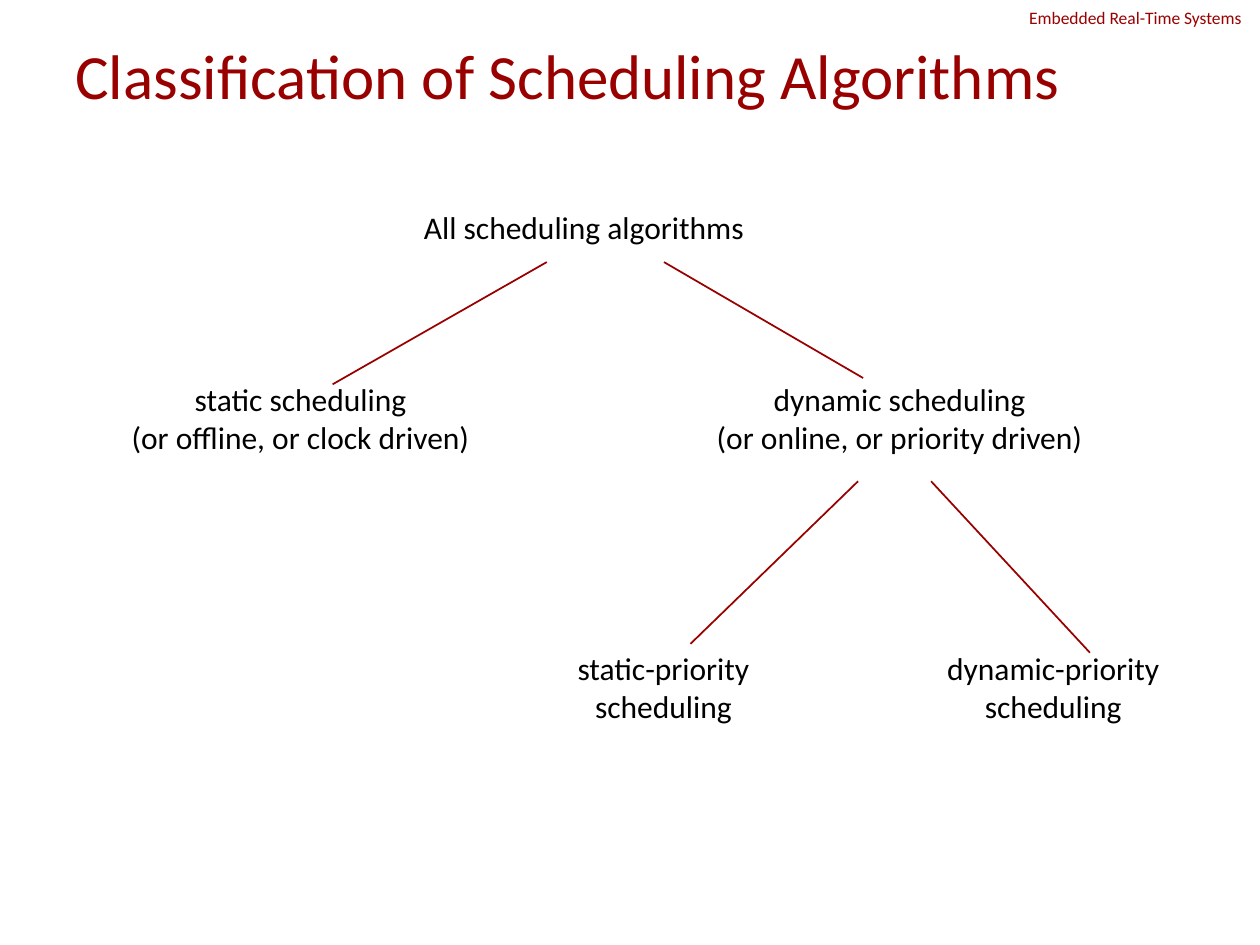
from dataclasses import dataclass

from lxml import etree
from pptx import Presentation
from pptx.dml.color import RGBColor
from pptx.enum.shapes import MSO_CONNECTOR
from pptx.enum.text import MSO_ANCHOR, PP_ALIGN
from pptx.oxml.ns import qn
from pptx.util import Inches, Pt

LEFT, CENTER = PP_ALIGN.LEFT, PP_ALIGN.CENTER
TOP, MIDDLE = MSO_ANCHOR.TOP, MSO_ANCHOR.MIDDLE
STRAIGHT = MSO_CONNECTOR.STRAIGHT


@dataclass(frozen=True)
class Theme:
    font: str = "Calibri"
    accent: RGBColor = RGBColor(0x99, 0x00, 0x00)
    text: RGBColor = RGBColor(0x00, 0x00, 0x00)
    header_size: int = 10
    title_size: int = 36
    node_size: int = 18
    line_width: int = 1


THEME = Theme()

# Content: lengths in inches
HEADER = "Embedded Real-Time Systems"
TITLE = "Classification of Scheduling Algorithms"

# Tree nodes: lines of text, left, width; grouped by the top of their level
LEVELS = [
    (1.6, [(["All scheduling algorithms"], 3.25, 2.77)]),
    (2.97, [
        (["static scheduling", "(or offline, or clock driven)"], 0.93, 2.91),
        (["dynamic scheduling", "(or online, or priority driven)"], 5.57, 3.14),
    ]),
    (5.1, [
        (["static-priority", "scheduling"], 4.47, 1.59),
        (["dynamic-priority", "scheduling"], 7.41, 1.9),
    ]),
]

# Branches: start height, then (start x, end x, end y) for each child
BRANCHES = [
    (2.08, [(4.34, 2.64, 3.05), (5.27, 6.85, 3)]),
    (3.82, [(6.81, 5.48, 5.11), (7.39, 8.65, 5.18)]),
]


def add_text(slide, lines, left, top, width, height, *, size, color,
             align=LEFT, anchor=TOP, wrap=True):
    shape = slide.shapes.add_textbox(*map(Inches, (left, top, width, height)))
    frame = shape.text_frame
    frame.word_wrap = wrap
    frame.vertical_anchor = anchor
    frame.text = "\n".join(lines)
    for paragraph in frame.paragraphs:
        paragraph.alignment = align
        font = paragraph.runs[0].font
        font.name, font.size, font.color.rgb = THEME.font, Pt(size), color


def add_branch(slide, start_x, start_y, end_x, end_y):
    connector = slide.shapes.add_connector(
        STRAIGHT, *map(Inches, (start_x, start_y, end_x, end_y)))
    connector.line.color.rgb = THEME.accent
    connector.line.width = Pt(THEME.line_width)
    etree.SubElement(connector._element.spPr, qn("a:effectLst"))


def main():
    presentation = Presentation()
    presentation.slide_width, presentation.slide_height = Inches(10), Inches(7.5)
    slide = presentation.slides.add_slide(presentation.slide_layouts[6])

    # Header and title
    add_text(slide, [HEADER], 8.07, 0.01, 2.27, 0.27,
             size=THEME.header_size, color=THEME.accent)
    add_text(slide, [TITLE], 0.5, 0.3, 9, 0.58,
             size=THEME.title_size, color=THEME.accent, anchor=MIDDLE)

    # Tree nodes
    for top, nodes in LEVELS:
        for lines, left, width in nodes:
            height = 0.1 + 0.3 * len(lines)
            add_text(slide, lines, left, top, width, height,
                     size=THEME.node_size, color=THEME.text,
                     align=CENTER, wrap=False)

    # Branches between levels
    for start_y, children in BRANCHES:
        for start_x, end_x, end_y in children:
            add_branch(slide, start_x, start_y, end_x, end_y)

    presentation.save("out.pptx")


if __name__ == "__main__":
    main()
